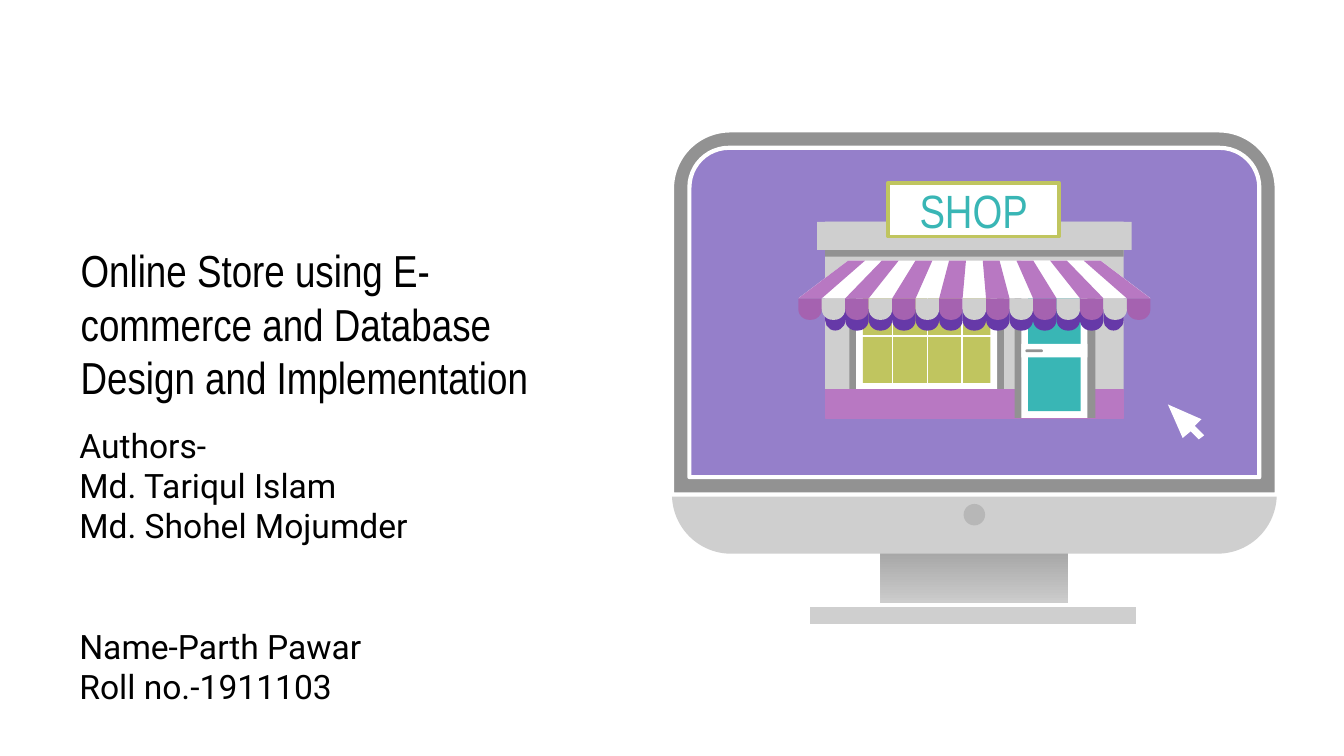
from pptx import Presentation, util as u
from pptx.dml.color import RGBColor
from pptx.enum import shapes, text
from pptx.oxml import parse_xml
from pptx.oxml.ns import nsdecls

KIND = shapes.MSO_SHAPE
WHITE, SILVER, GREY = "FFFFFF", "CFCFCF", "929292"
LILAC, PLUM, MAUVE, VIOLET = "957FCA", "A562B0", "B878C2", "6639A8"
OLIVE, TEAL, BLACK = "C0C55F", "39B6B5", "000000"


def colour(value):
    return RGBColor.from_string(value)


def paint(shape, fill, line=None, width=0.75):
    shape.shadow.inherit = False
    shape.fill.solid()
    shape.fill.fore_color.rgb = colour(fill)
    if line:
        shape.line.color.rgb = colour(line)
        shape.line.width = u.Pt(width)
    else:
        shape.line.fill.background()
    return shape


class Region:
    """Draws on a page with lengths in inches from its own top left corner."""

    def __init__(self, page, left, top):
        self.shapes, self.left, self.top = page.shapes, left, top

    def at(self, x, y):
        return u.Inches(self.left + x), u.Inches(self.top + y)

    def block(self, x, y, width, height, fill, line=None, weight=0.75,
              kind=KIND.RECTANGLE, rounding=()):
        shape = self.shapes.add_shape(
            kind, *self.at(x, y), u.Inches(width), u.Inches(height))
        for index, value in enumerate(rounding):
            shape.adjustments[index] = value
        return paint(shape, fill, line, weight)

    def polygon(self, points, fill):
        start, *rest = [self.at(x, y) for x, y in points]
        builder = self.shapes.build_freeform(*start, scale=1.0)
        builder.add_line_segments(rest, close=True)
        return paint(builder.convert_to_shape(), fill)

    def bar(self, start, end):
        line = self.shapes.add_connector(
            shapes.MSO_CONNECTOR.STRAIGHT, *self.at(*start), *self.at(*end))
        line.line.color.rgb = colour(WHITE)
        line.line.width = u.Pt(0.85)
        line._element.spPr.append(
            parse_xml(f"<a:effectLst {nsdecls('a')}/>"))

    def scallop(self, x, y, width, fill):
        self.block(x, y, width, 0.16, fill,
                   kind=KIND.ROUND_2_SAME_RECTANGLE, rounding=(0, 0.5))


def set_text(frame, lines, size, font, ink, align, **frame_format):
    settings = dict(
        word_wrap=True, auto_size=text.MSO_AUTO_SIZE.NONE,
        vertical_anchor=text.MSO_ANCHOR.MIDDLE,
        **{f"margin_{side}": u.Inches(0.1)
           for side in ("left", "right", "top", "bottom")})
    settings.update(frame_format)
    for name, value in settings.items():
        setattr(frame, name, value)
    for index, (words, gap) in enumerate(lines):
        para = frame.paragraphs[0] if index == 0 else frame.add_paragraph()
        for name, value in dict(alignment=align, line_spacing=1.0,
                                space_before=u.Pt(gap),
                                space_after=u.Pt(0)).items():
            setattr(para, name, value)
        span = para.add_run()
        span.text = words
        for name, value in dict(size=u.Pt(size), name=font,
                                bold=False).items():
            setattr(span.font, name, value)
        span.font.color.rgb = colour(ink)


def fill_placeholder(holder, box, lines, size, font, **frame_format):
    for name, value in zip(("left", "top", "width", "height"), box):
        setattr(holder, name, u.Inches(value))
    set_text(holder.text_frame, lines, size, font, BLACK,
             text.PP_ALIGN.LEFT, **frame_format)


def draw_monitor(page, left, top):
    region = Region(page, left, top)
    neck = region.block(1.55, 2.94, 1.4, 0.73, SILVER)
    neck.fill.gradient()
    neck.fill.gradient_angle = 90
    for stop, value in zip(neck.fill.gradient_stops, ("DDDDDD", "919191")):
        stop.color.rgb = colour(value)
    region.block(1.01, 3.53, 2.46, 0.16, SILVER, WHITE, 2.25)
    region.block(0, 0, 4.5, 3.15, SILVER,
                 kind=KIND.ROUNDED_RECTANGLE, rounding=(0.14,))
    region.block(2.17, 2.78, 0.16, 0.16, "B7B7B7", kind=KIND.OVAL)
    for inset, fill, rounding in ((0, GREY, 0.16), (0.13, LILAC, 0.12)):
        region.block(inset, inset, 4.5 - 2 * inset, 2.71 - 2 * inset, fill,
                     WHITE, 2.25, KIND.ROUND_2_SAME_RECTANGLE, (rounding, 0))


def draw_awning(region, top):
    count, eave, ridge_left, ridge = 15, 2.62, 0.37, 1.88
    low, high = eave / count, ridge / count
    region.polygon([(ridge_left, top), (0, top + 0.28), (eave, top + 0.28),
                    (ridge_left + ridge, top)], WHITE)
    for stripe in range(count):
        x, upper = stripe * low, ridge_left + stripe * high
        if stripe % 2 == 0:
            region.polygon([(upper, top), (x, top + 0.28),
                            (x + low, top + 0.28), (upper + high, top)],
                           MAUVE)
        region.scallop(x, top + 0.28, low, SILVER if stripe % 2 else PLUM)


def draw_shop(page, left, top):
    region = Region(page, left, top)
    wall_left, wall_right = 0.2, 2.42
    wall_width = wall_right - wall_left
    region.block(wall_left, 0.3, wall_width, 1.46, SILVER)

    for inset, fill in ((0, GREY), (0.05, WHITE), (0.1, OLIVE)):
        region.block(0.38 + inset, 0.71 + inset,
                     1.15 - 2 * inset, 0.89 - 2 * inset, fill)
    region.bar((0.45, 1.15), (1.47, 1.15))
    for x in (0.7, 0.96, 1.22):
        region.bar((x, 0.73), (x, 1.53))
    region.block(wall_left, 1.55, wall_width, 0.21, MAUVE, MAUVE)

    region.block(1.61, 0.61, 0.6, 1.15, GREY)
    region.block(1.66, 0.59, 0.49, 1.17, WHITE)
    region.block(1.71, 0.64, 0.39, 1.07, TEAL)
    pitch = 2.62 / 15
    for index in range(1, 14):
        start = max(index * pitch, wall_left)
        end = min((index + 1) * pitch, wall_right)
        region.scallop(start, 0.95, end - start, VIOLET)
    region.block(1.66, 1.21, 0.49, 0.1, WHITE)
    region.block(1.69, 1.25, 0.13, 0.02, GREY,
                 kind=KIND.ROUNDED_RECTANGLE, rounding=(0.5,))

    region.block(wall_left, 0.37, wall_width, 0.19, GREY)
    region.block(0.14, 0.3, 2.34, 0.21, SILVER)
    sign = region.block(0.67, 0.01, 1.27, 0.4, WHITE, OLIVE, 2)
    set_text(sign.text_frame, [("SHOP", 0)], 25, "Arial Narrow", TEAL,
             text.PP_ALIGN.CENTER, word_wrap=False,
             margin_top=0, margin_bottom=0)
    draw_awning(region, 0.59)


def draw_pointer(page, left, top):
    Region(page, left, top).polygon(
        [(0, 0), (0.11, 0.25), (0.17, 0.2), (0.23, 0.26), (0.27, 0.23),
         (0.2, 0.16), (0.25, 0.11)], WHITE)


def main():
    deck = Presentation()
    deck.slide_width = u.Inches(10)
    deck.slide_height = deck.slide_width * 9 // 16
    page = deck.slides.add_slide(deck.slide_layouts[0])
    fill_placeholder(
        page.shapes.title, (0.5, 1.58, 3.79, 1.65),
        [("Online Store using E-commerce and Database Design and "
          "Implementation", 0)], 24, "Arial Narrow")
    fill_placeholder(
        page.placeholders[1], (0.37, 3.06, 3.22, 2.29),
        [("Authors-", 0), ("Md. Tariqul Islam", 0),
         ("Md. Shohel Mojumder", 0), ("Name-Parth Pawar", 43),
         ("Roll no.-1911103", 0)], 18, "Roboto",
        vertical_anchor=text.MSO_ANCHOR.TOP, margin_left=u.Inches(0.22))
    draw_monitor(page, 5, 0.97)
    draw_shop(page, 5.94, 1.35)
    draw_pointer(page, 8.69, 3.01)
    deck.save("out.pptx")


if __name__ == "__main__":
    main()
